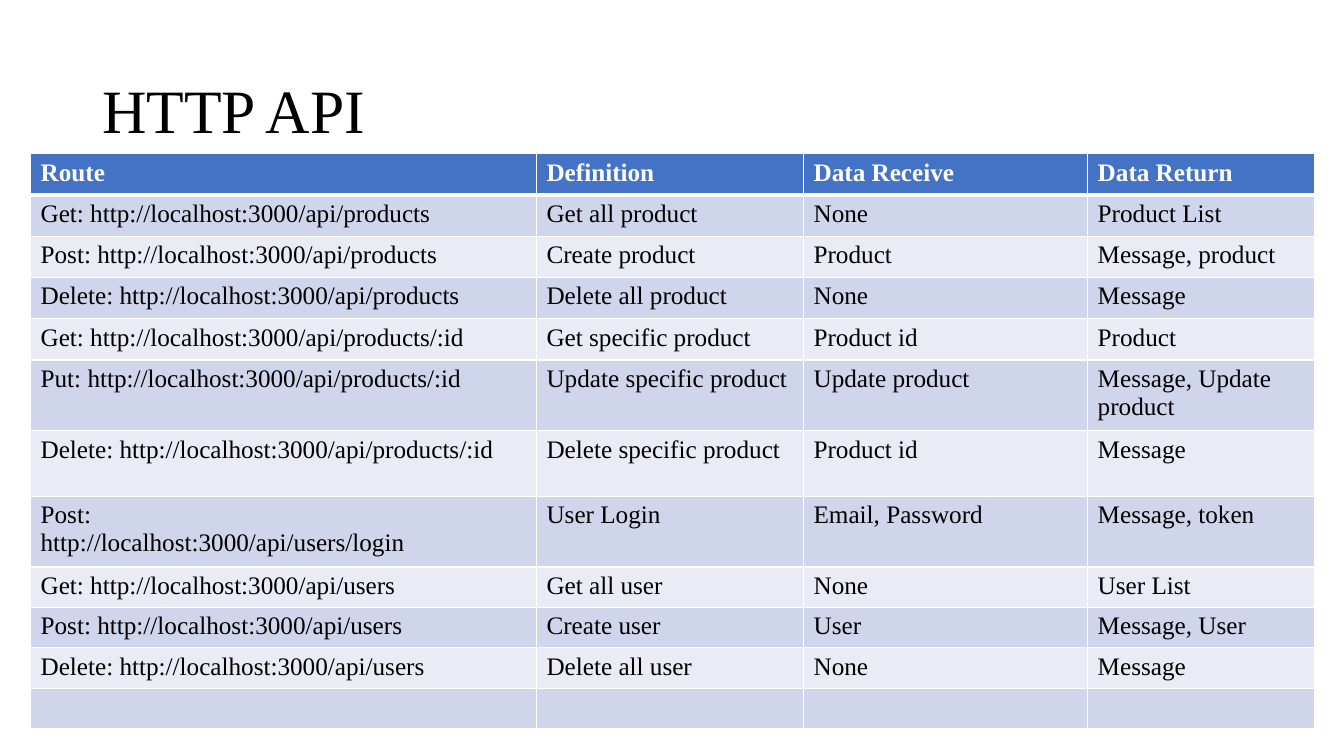
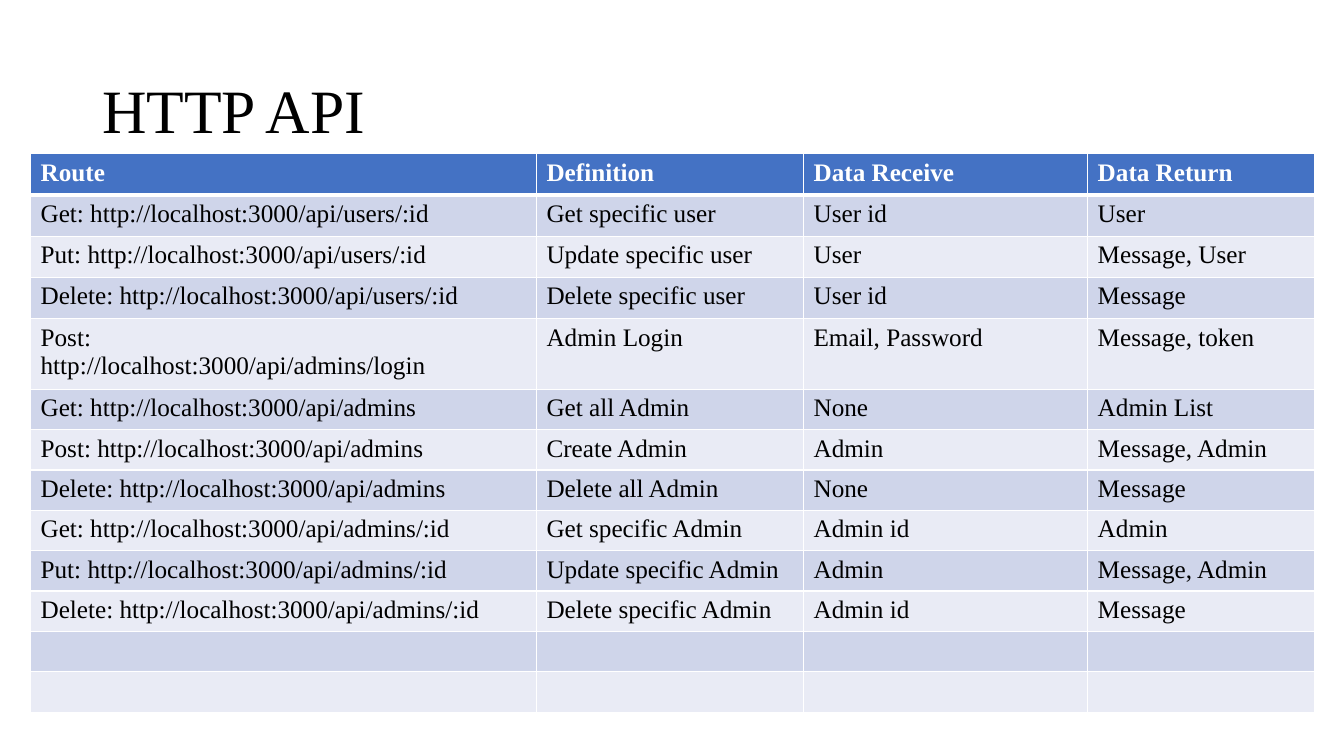
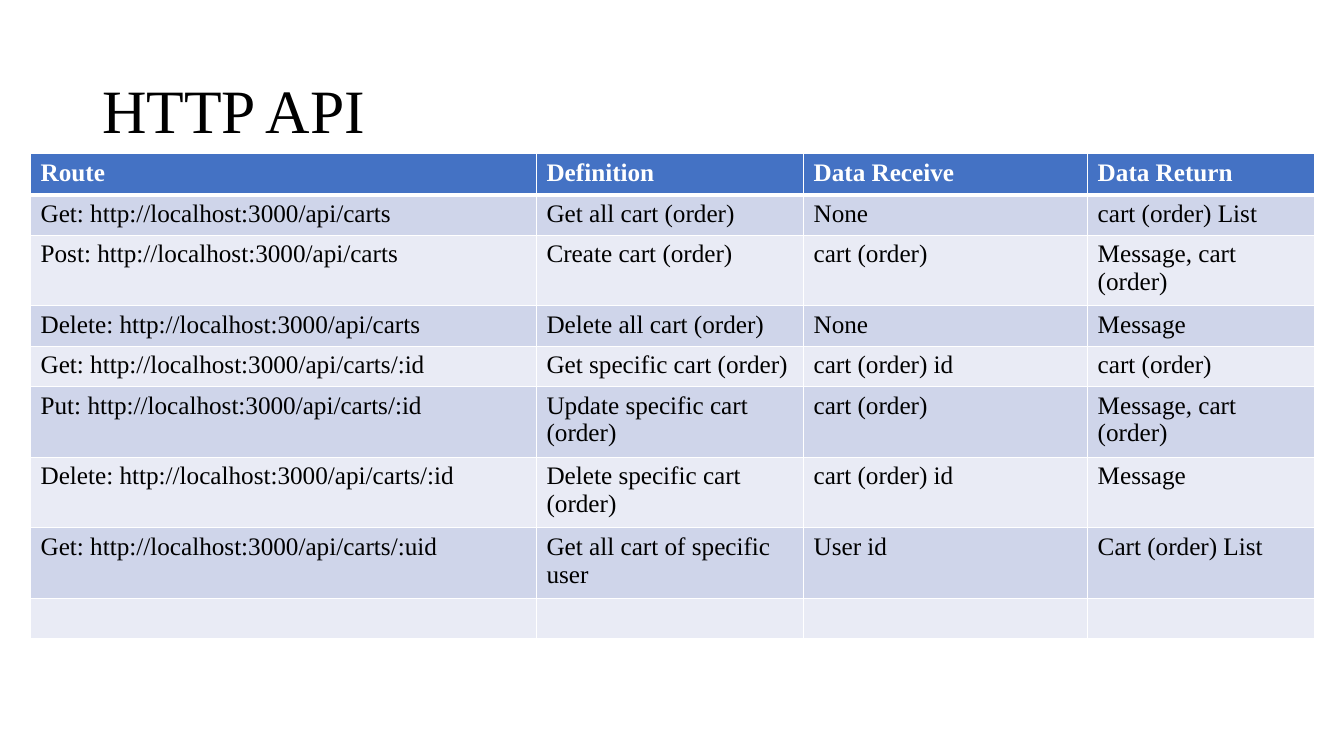
from dataclasses import dataclass

from lxml import etree
from pptx import Presentation
from pptx.dml.color import RGBColor
from pptx.enum import text
from pptx.oxml import ns
from pptx.util import Cm, Length, Pt

WHITE = RGBColor(0xFF, 0xFF, 0xFF)
BLACK = RGBColor(0x00, 0x00, 0x00)
HEADER_BLUE = RGBColor(0x44, 0x72, 0xC4)
BANDS = (RGBColor(0xCF, 0xD5, 0xEA), RGBColor(0xE9, 0xEB, 0xF5))

FONT = "Times New Roman"
TITLE_SIZE = Pt(44)
CELL_SIZE = Pt(18)
THIN, THICK = Pt(1), Pt(3)

HEADINGS = ("Route", "Definition", "Data Receive", "Data Return")
COLUMN_WIDTHS = (Cm(12.75), Cm(6.73), Cm(7.16), Cm(5.72))
ONE_LINE, ROOMY, TWO_LINES = Cm(0.96), Cm(1.04), Cm(1.66)
SERVER = "http://localhost:3000/api/"


@dataclass(frozen=True)
class Route:
    method: str
    address: str
    definition: str
    receive: str
    answer: str
    height: Length = ONE_LINE
    split: bool = False  # address on its own line

    def cells(self) -> tuple[str, ...]:
        gap = "\n" if self.split else " "
        route = f"{self.method}:{gap}{SERVER}{self.address}"
        return route, self.definition, self.receive, self.answer


@dataclass(frozen=True)
class RoutePage:
    routes: tuple[Route, ...]
    empty_rows: int


PAGES = (
    RoutePage((
        Route("Get", "products", "Get all product", "None", "Product List", ROOMY),
        Route("Post", "products", "Create product", "Product", "Message, product", ROOMY),
        Route("Delete", "products", "Delete all product", "None", "Message", ROOMY),
        Route("Get", "products/:id", "Get specific product", "Product id", "Product", ROOMY),
        Route("Put", "products/:id", "Update specific product", "Update product",
              "Message, Update product", TWO_LINES),
        Route("Delete", "products/:id", "Delete specific product", "Product id", "Message",
              TWO_LINES),
        Route("Post", "users/login", "User Login", "Email, Password", "Message, token",
              TWO_LINES, split=True),
        Route("Get", "users", "Get all user", "None", "User List"),
        Route("Post", "users", "Create user", "User", "Message, User"),
        Route("Delete", "users", "Delete all user", "None", "Message"),
    ), empty_rows=1),
    RoutePage((
        Route("Get", "users/:id", "Get specific user", "User id", "User", ROOMY),
        Route("Put", "users/:id", "Update specific user", "User", "Message, User", ROOMY),
        Route("Delete", "users/:id", "Delete specific user", "User id", "Message", ROOMY),
        Route("Post", "admins/login", "Admin Login", "Email, Password", "Message, token",
              TWO_LINES, split=True),
        Route("Get", "admins", "Get all Admin", "None", "Admin List"),
        Route("Post", "admins", "Create Admin", "Admin", "Message, Admin"),
        Route("Delete", "admins", "Delete all Admin", "None", "Message"),
        Route("Get", "admins/:id", "Get specific Admin", "Admin id", "Admin"),
        Route("Put", "admins/:id", "Update specific Admin", "Admin", "Message, Admin"),
        Route("Delete", "admins/:id", "Delete specific Admin", "Admin id", "Message"),
    ), empty_rows=2),
    RoutePage((
        Route("Get", "carts", "Get all cart (order)", "None", "cart (order) List"),
        Route("Post", "carts", "Create cart (order)", "cart (order)", "Message, cart (order)",
              TWO_LINES),
        Route("Delete", "carts", "Delete all cart (order)", "None", "Message"),
        Route("Get", "carts/:id", "Get specific cart (order)", "cart (order) id",
              "cart (order)"),
        Route("Put", "carts/:id", "Update specific cart (order)", "cart (order)",
              "Message, cart (order)", TWO_LINES),
        Route("Delete", "carts/:id", "Delete specific cart (order)", "cart (order) id",
              "Message", TWO_LINES),
        Route("Get", "carts/:uid", "Get all cart of specific user", "User id",
              "Cart (order) List", TWO_LINES),
    ), empty_rows=1),
)


def write(frame, words: str, *, size: Length = CELL_SIZE, color: RGBColor = BLACK,
          bold: bool = False, line_spacing: float | None = None) -> None:
    """Fill a text frame, one paragraph for each line of words."""
    frame.text = words
    for para in frame.paragraphs:
        if line_spacing:
            para.line_spacing = line_spacing
        for span in para.runs:
            span.font.name = FONT
            span.font.size = size
            span.font.bold = bold
            span.font.color.rgb = color
        if not para.runs:
            end = etree.SubElement(para._p, ns.qn("a:endParaRPr"), sz=str(int(size.pt * 100)))
            etree.SubElement(end, ns.qn("a:latin"), typeface=FONT)


def add_borders(cell, top: Length, bottom: Length) -> None:
    properties = cell._tc.get_or_add_tcPr()
    for side, width in (("L", THIN), ("R", THIN), ("T", top), ("B", bottom)):
        line = etree.SubElement(properties, ns.qn(f"a:ln{side}"), w=str(int(width)))
        fill = etree.SubElement(line, ns.qn("a:solidFill"))
        etree.SubElement(fill, ns.qn("a:srgbClr"), val=str(WHITE))


def add_title(page, words: str) -> None:
    box = page.shapes.add_textbox(Cm(2.33), Cm(1.01), Cm(29.21), Cm(3.68))
    frame = box.text_frame
    frame.word_wrap = True
    frame.vertical_anchor = text.MSO_ANCHOR.MIDDLE
    write(frame, words, size=TITLE_SIZE, line_spacing=0.9)


def add_route_table(page, content: RoutePage) -> None:
    rows = [(HEADINGS, ROOMY)]
    rows += [(route.cells(), route.height) for route in content.routes]
    rows += [(("",) * len(HEADINGS), ONE_LINE)] * content.empty_rows
    frame = page.shapes.add_table(
        len(rows), len(HEADINGS), Cm(0.77), Cm(3.87),
        Length(sum(COLUMN_WIDTHS)), Length(sum(height for _, height in rows)))
    table = frame.table
    table.horz_banding = False
    for column, width in zip(table.columns, COLUMN_WIDTHS):
        column.width = width
    for index, (words, height) in enumerate(rows):
        header = index == 0
        table.rows[index].height = height
        for cell, entry in zip(table.rows[index].cells, words):
            add_borders(cell, THICK if index == 1 else THIN, THICK if header else THIN)
            cell.fill.solid()
            cell.fill.fore_color.rgb = HEADER_BLUE if header else BANDS[(index - 1) % 2]
            write(cell.text_frame, entry, color=WHITE if header else BLACK, bold=header)


def main() -> None:
    deck = Presentation()
    deck.slide_width, deck.slide_height = Cm(33.87), Cm(19.05)
    blank = deck.slide_layouts[6]
    for content in PAGES:
        page = deck.slides.add_slide(blank)
        add_title(page, "HTTP API")
        add_route_table(page, content)
    deck.save("out.pptx")


if __name__ == "__main__":
    main()
